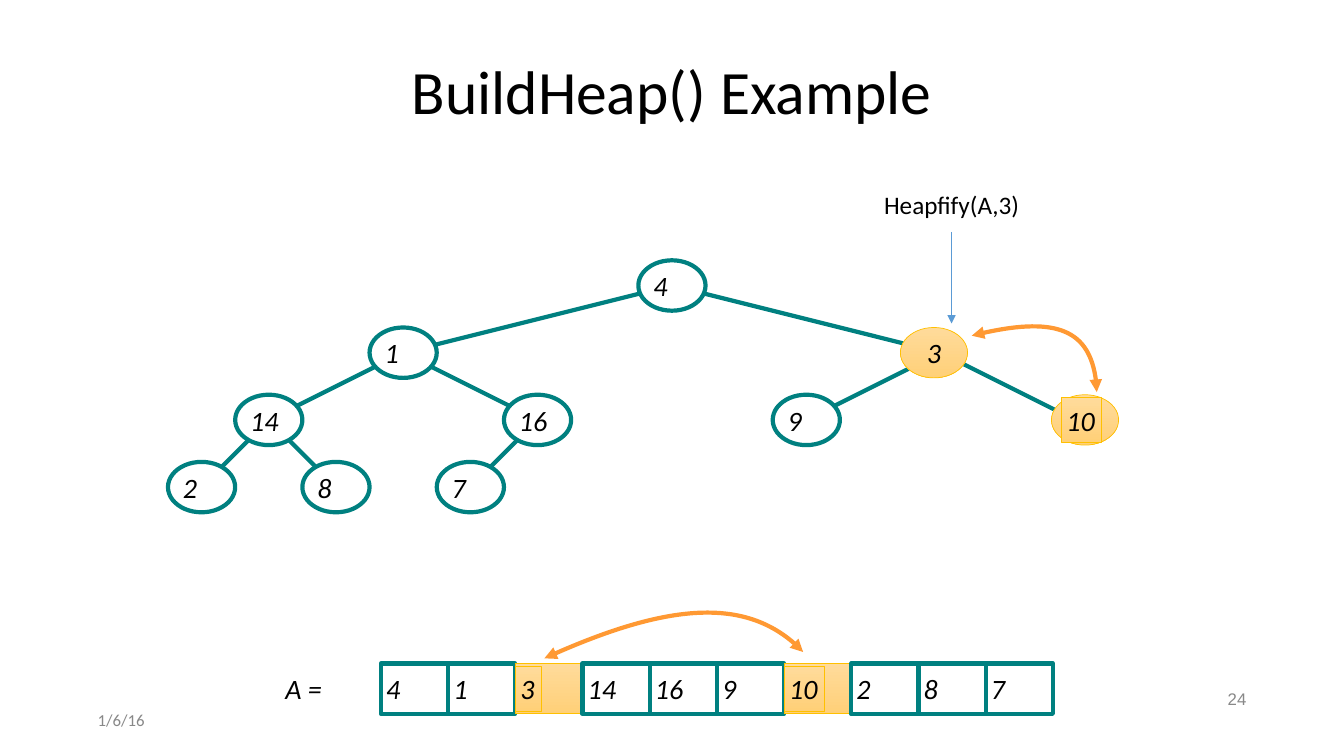
from dataclasses import dataclass
from math import hypot

from pptx import Presentation
from pptx.dml.color import RGBColor
from pptx.enum.shapes import MSO_CONNECTOR, MSO_SHAPE
from pptx.enum.text import MSO_ANCHOR as Anchor, PP_ALIGN as Align
from pptx.oxml.ns import qn
from pptx.util import Cm, Pt
from lxml.etree import SubElement

TEAL, GOLD, ORANGE, BLUE = "008080", "FFC000", "FF9933", "5B9BD5"
BLACK, GREY, WHITE = "000000", "888888", "FFFFFF"
CELL = 5.08 / 3  # width of a node or cell, and height of a tree level
HEIGHT = 1.27
TREE_TOP = 6.56
ARRAY_LEFT, ARRAY_TOP = 9.6, 16.72
TAG_HEIGHT = 1.12
INSET = 0.13


@dataclass(frozen=True)
class Node:
    value: str
    slot: float  # left side, in cells
    level: int
    parent: int | None = None
    shift: float = 0  # sideways offset of a highlighted node
    lit: bool = False
    tagged: bool = False

    @property
    def left(self) -> float:
        return self.slot * CELL + self.shift

    @property
    def top(self) -> float:
        return TREE_TOP + self.level * CELL

    @property
    def anchor(self) -> tuple[float, float]:
        return (self.slot + 0.5) * CELL, self.top + HEIGHT / 2


@dataclass(frozen=True)
class SwapArrow:
    start: tuple[float, float]
    bends: tuple[tuple[float, float], tuple[float, float]]
    end: tuple[float, float]


NODES = [
    Node("4", 9.5, 0),
    Node("1", 5.5, 1, 0),
    Node("3", 13.5, 1, 0, shift=-0.17, lit=True),
    Node("14", 3.5, 2, 1),
    Node("16", 7.5, 2, 1),
    Node("9", 11.5, 2, 2),
    Node("10", 15.5, 2, 2, shift=0.25, lit=True, tagged=True),
    Node("2", 2.5, 3, 3),
    Node("8", 4.5, 3, 3),
    Node("7", 6.5, 3, 4),
]
SWAPS = [
    SwapArrow((24.49, 8.46), ((26.57, 7.92), (27.61, 8.41)), (27.64, 9.88)),
    SwapArrow((13.72, 16.59), ((16.84, 15.16), (19.02, 15.11)), (20.24, 16.43)),
]


def color(code: str) -> RGBColor:
    return RGBColor.from_string(code)


def write(shape, text: str, *, size=20, font="Calibri", ink=BLACK, italic=False,
          align=Align.LEFT, anchor=Anchor.MIDDLE, wrap=True, spacing=None) -> None:
    frame = shape.text_frame
    frame.word_wrap = wrap
    frame.vertical_anchor = anchor
    frame.margin_left = frame.margin_right = Cm(INSET)
    frame.margin_top = frame.margin_bottom = Cm(INSET)
    para = frame.paragraphs[0]
    para.alignment = align
    if spacing:
        para.line_spacing = spacing
    span = para.add_run()
    span.text = text
    span.font.size, span.font.name, span.font.italic = Pt(size), font, italic
    span.font.color.rgb = color(ink)


def add_label(page, text: str, left, top, width, height, **style) -> None:
    box = page.shapes.add_textbox(Cm(left), Cm(top), Cm(width), Cm(height))
    write(box, text, **style)


def add_block(page, kind, left, top, width, height, lit: bool):
    """Add a teal outlined shape, or a golden one when lit."""
    block = page.shapes.add_shape(kind, Cm(left), Cm(top), Cm(width), Cm(height))
    block.shadow.inherit = False
    if lit:
        block.fill.gradient()
        block.fill.gradient_angle = 270
        for stop, code in zip(block.fill.gradient_stops, ("FFDB9B", "FFD078")):
            stop.color.rgb = color(code)
    else:
        block.fill.solid()
        block.fill.fore_color.rgb = color(WHITE)
    block.line.color.rgb = color(GOLD if lit else TEAL)
    block.line.width = Pt(0.5 if lit else 3)
    return block


def add_tag(page, value: str, left, top):
    """Add the small golden box that carries a highlighted value."""
    width = 0.28 + 0.37 * len(value)
    return add_block(page, MSO_SHAPE.RECTANGLE, left, top + (HEIGHT - TAG_HEIGHT) / 2,
                     width, TAG_HEIGHT, True)


def add_node(page, node: Node) -> None:
    holder = add_block(page, MSO_SHAPE.OVAL, node.left, node.top, CELL, HEIGHT, node.lit)
    if node.tagged:
        holder = add_tag(page, node.value, node.left + 0.25, node.top)
    centred = node.lit and not node.tagged
    write(holder, node.value, italic=True, wrap=not node.tagged,
          align=Align.CENTER if centred else Align.LEFT)


def add_cell(page, index: int, node: Node) -> None:
    left = ARRAY_LEFT + index * CELL
    holder = add_block(page, MSO_SHAPE.RECTANGLE, left, ARRAY_TOP, CELL, HEIGHT, node.lit)
    if node.lit:
        holder = add_tag(page, node.value, left, ARRAY_TOP)
    write(holder, node.value, italic=True, wrap=not node.lit)


def add_arrowheads(shape, *ends: str) -> None:
    for end in ends:
        SubElement(shape.get_or_add_ln(), qn(f"a:{end}"), type="triangle")


def add_line(page, start, end, ink: str, width: float):
    line = page.shapes.add_connector(MSO_CONNECTOR.STRAIGHT, *map(Cm, (*start, *end)))
    line.line.color.rgb = color(ink)
    line.line.width = Pt(width)
    SubElement(line.element.spPr, qn("a:effectLst"))
    return line


def rim(node: Node, toward: Node) -> tuple[float, float]:
    """Find where an edge meets a node: its outline, or its anchor when lit."""
    x, y = node.anchor
    if node.lit:
        return x, y
    dx, dy = toward.anchor[0] - x, toward.anchor[1] - y
    reach = 1 / hypot(dx / (CELL / 2), dy / (HEIGHT / 2))
    return x + dx * reach, y + dy * reach


def add_swap(page, swap: SwapArrow) -> None:
    """Add a double-headed arrow along one cubic curve."""
    start, *rest = [(Cm(x), Cm(y)) for x, y in (swap.start, *swap.bends, swap.end)]
    builder = page.shapes.build_freeform(*start)
    builder.add_line_segments(rest, close=False)
    curve = builder.convert_to_shape()
    curve.shadow.inherit = False
    curve.fill.background()
    curve.line.color.rgb = color(ORANGE)
    curve.line.width = Pt(3)
    add_arrowheads(curve, "headEnd", "tailEnd")
    outline = next(curve.element.iter(qn("a:path")))
    bezier = SubElement(outline, qn("a:cubicBezTo"))
    for segment in outline.findall(qn("a:lnTo")):
        bezier.append(segment[0])
        outline.remove(segment)


def main() -> None:
    deck = Presentation()
    deck.slide_width, deck.slide_height = Cm(33.87), Cm(19.05)
    page = deck.slides.add_slide(deck.slide_layouts[5])

    title = page.shapes.title
    title.left, title.top, title.width, title.height = map(Cm, (2.33, 1.01, 29.21, 2.72))
    write(title, "BuildHeap() Example", size=44, align=Align.CENTER, spacing=0.9)
    add_label(page, "1/6/16", 2.33, 17.78, 7.62, 0.74, size=12, ink=GREY)
    add_label(page, "24", 23.92, 17.27, 7.62, 0.74, size=12, font="Arial", ink=GREY,
              align=Align.RIGHT, spacing=0.9)

    for node in NODES:
        if node.parent is not None:
            parent = NODES[node.parent]
            add_line(page, rim(parent, node), rim(node, parent), TEAL, 3)
    for node in NODES:
        add_node(page, node)

    add_label(page, "A =", 7.06, 16.81, 1.22, 1.09, italic=True, wrap=False)
    for index, node in enumerate(NODES):
        add_cell(page, index, node)
    for swap in SWAPS:
        add_swap(page, swap)

    add_label(page, "Heapfify(A,3)", 22.15, 4.65, 3.68, 1.04, size=18,
              anchor=Anchor.TOP, wrap=False)
    pointer = add_line(page, (23.98, 5.84), (23.98, 8.15), BLUE, 1)
    add_arrowheads(pointer, "tailEnd")
    deck.save("out.pptx")


if __name__ == "__main__":
    main()
